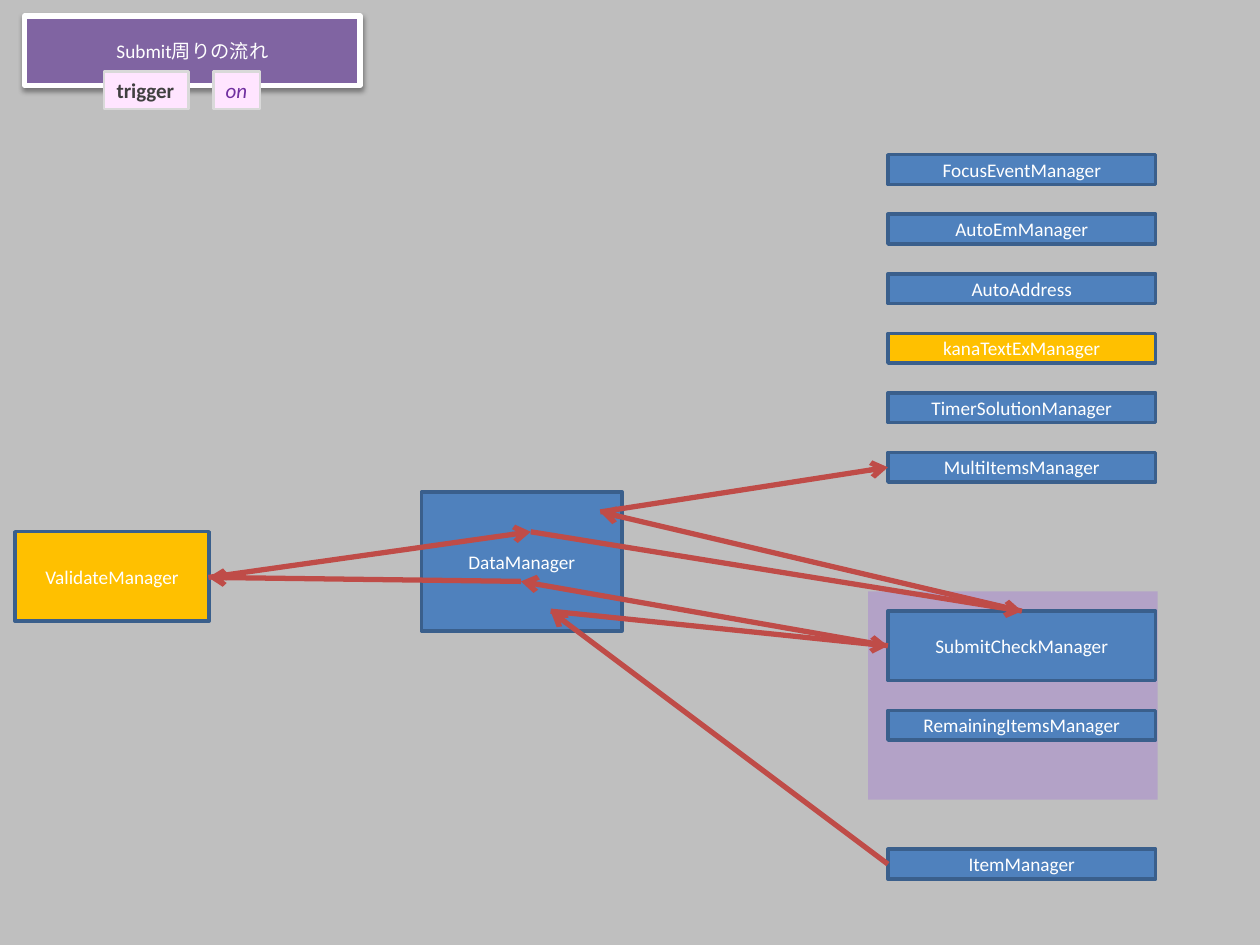
from itertools import pairwise

from lxml.etree import SubElement
from pptx import Presentation
from pptx.dml.color import RGBColor
from pptx.enum.shapes import MSO_CONNECTOR, MSO_SHAPE
from pptx.enum.text import MSO_ANCHOR, MSO_AUTO_SIZE, PP_ALIGN
from pptx.oxml.ns import qn
from pptx.util import Cm, Inches, Pt

CELL = Cm(0.4)
MANAGER_COL = 44.75
MANAGER_COLS = 13.5
MANAGER_ROWS = 1.5
FIRST_ROW = 7.8
ROW_STEP = 3

BLUE, AMBER, NAVY = "4F81BD", "FFC000", "3A5F8C"
WHITE, PURPLE, LAVENDER = "FFFFFF", "8064A2", "B3A2C7"
RED, PINK, PALE_GRAY = "BF4C48", "FFE5FF", "D9D9D9"

MANAGERS = [
    ("FocusEventManager", BLUE),
    ("AutoEmManager", BLUE),
    ("AutoAddress", BLUE),
    ("kanaTextExManager", AMBER),
    ("TimerSolutionManager", BLUE),
    ("MultiItemsManager", BLUE),
]

FLOW = [
    (44.75, 43.55),
    (27.75, 30.8),
    (44.75, 32.55),
    (26.25, 29.3),
    (10.5, 29.1),
    (26.75, 26.8),
    (51.5, 30.8),
    (30.25, 25.8),
    (44.75, 23.55),
]


def grid(*cells):
    return [round(cell * CELL) for cell in cells]


def color(hex_code):
    return RGBColor.from_string(hex_code)


def paint(shape, fill, outline=None, width=2):
    shape.fill.solid()
    shape.fill.fore_color.rgb = color(fill)
    if outline:
        shape.line.color.rgb = color(outline)
        shape.line.width = Pt(width)
    else:
        shape.line.fill.background()


def write(shape, words, size=11, ink=WHITE, bold=False, italic=False):
    frame = shape.text_frame
    frame.vertical_anchor = MSO_ANCHOR.MIDDLE
    paragraph = frame.paragraphs[0]
    paragraph.alignment = PP_ALIGN.CENTER
    run = paragraph.add_run()
    run.text = words
    run.font.name = "Calibri"
    run.font.size = Pt(size)
    run.font.color.rgb = color(ink)
    run.font.bold = bold
    run.font.italic = italic


def add_panel(slide, area, fill, outline=None, width=2):
    panel = slide.shapes.add_shape(MSO_SHAPE.RECTANGLE, *grid(*area))
    panel.shadow.inherit = False
    paint(panel, fill, outline, width)
    return panel


def add_manager(slide, words, area, fill=BLUE):
    write(add_panel(slide, area, fill, NAVY), words)


def add_listed_manager(slide, words, row, fill=BLUE, rows=MANAGER_ROWS):
    add_manager(slide, words, (MANAGER_COL, row, MANAGER_COLS, rows), fill)


def add_label(slide, words, area, ink, bold=False, italic=False):
    label = add_panel(slide, area, PINK, PALE_GRAY, 1.5)
    write(label, words, 12, ink, bold, italic)
    frame = label.text_frame
    frame.word_wrap = False
    frame.auto_size = MSO_AUTO_SIZE.SHAPE_TO_FIT_TEXT
    frame.vertical_anchor = MSO_ANCHOR.TOP
    frame.paragraphs[0].alignment = PP_ALIGN.LEFT


def add_shadow(shape):
    effects = SubElement(shape.element.spPr, qn("a:effectLst"))
    shadow = SubElement(
        effects, qn("a:outerShdw"), blurRad=str(Pt(3.1)), dist=str(Pt(1.6)),
        dir="5400000", rotWithShape="0",
    )
    black = SubElement(shadow, qn("a:srgbClr"), val="000000")
    SubElement(black, qn("a:alpha"), val="38000")


def add_title(slide, words):
    title = slide.shapes.title
    title.left, title.top, title.width, title.height = grid(1.25, 0.8, 16.9, 3.5)
    outline = SubElement(title.element.spPr, qn("a:prstGeom"), prst="roundRect")
    SubElement(outline, qn("a:avLst"))
    paint(title, PURPLE, WHITE, 3)
    add_shadow(title)
    title.text_frame.auto_size = MSO_AUTO_SIZE.NONE
    write(title, words)


def add_arrow(slide, start, end):
    arrow = slide.shapes.add_connector(
        MSO_CONNECTOR.STRAIGHT, *grid(*start, *end)
    )
    arrow.line.color.rgb = color(RED)
    arrow.line.width = Pt(3)
    SubElement(arrow.line._get_or_add_ln(), qn("a:tailEnd"), type="arrow")
    SubElement(arrow.element.spPr, qn("a:effectLst"))


def main():
    deck = Presentation()
    deck.slide_width, deck.slide_height = Inches(10), Inches(7.5)
    slide = deck.slides.add_slide(deck.slide_layouts.get_by_name("Title Only"))
    slide.background.fill.solid()
    slide.background.fill.fore_color.rgb = color("BFBFBF")

    add_title(slide, "Submit周りの流れ")
    add_label(slide, "trigger", (5.25, 3.6, 4.25, 1.9), "404040", bold=True)
    add_label(slide, "on", (10.75, 3.6, 2.35, 1.9), "7030A0", italic=True)

    add_panel(slide, (43.75, 29.8, 14.6, 10.5), LAVENDER)
    for index, (words, fill) in enumerate(MANAGERS):
        add_listed_manager(slide, words, FIRST_ROW + index * ROW_STEP, fill)
    add_listed_manager(slide, "SubmitCheckManager", 30.8, rows=3.5)
    add_listed_manager(slide, "RemainingItemsManager", 35.8)
    add_listed_manager(slide, "ItemManager", 42.8)
    add_manager(slide, "ValidateManager", (0.75, 26.8, 9.8, 4.5), AMBER)
    add_manager(slide, "DataManager", (21.25, 24.8, 10.1, 7))

    for start, end in pairwise(FLOW):
        add_arrow(slide, start, end)

    deck.save("out.pptx")


main()
